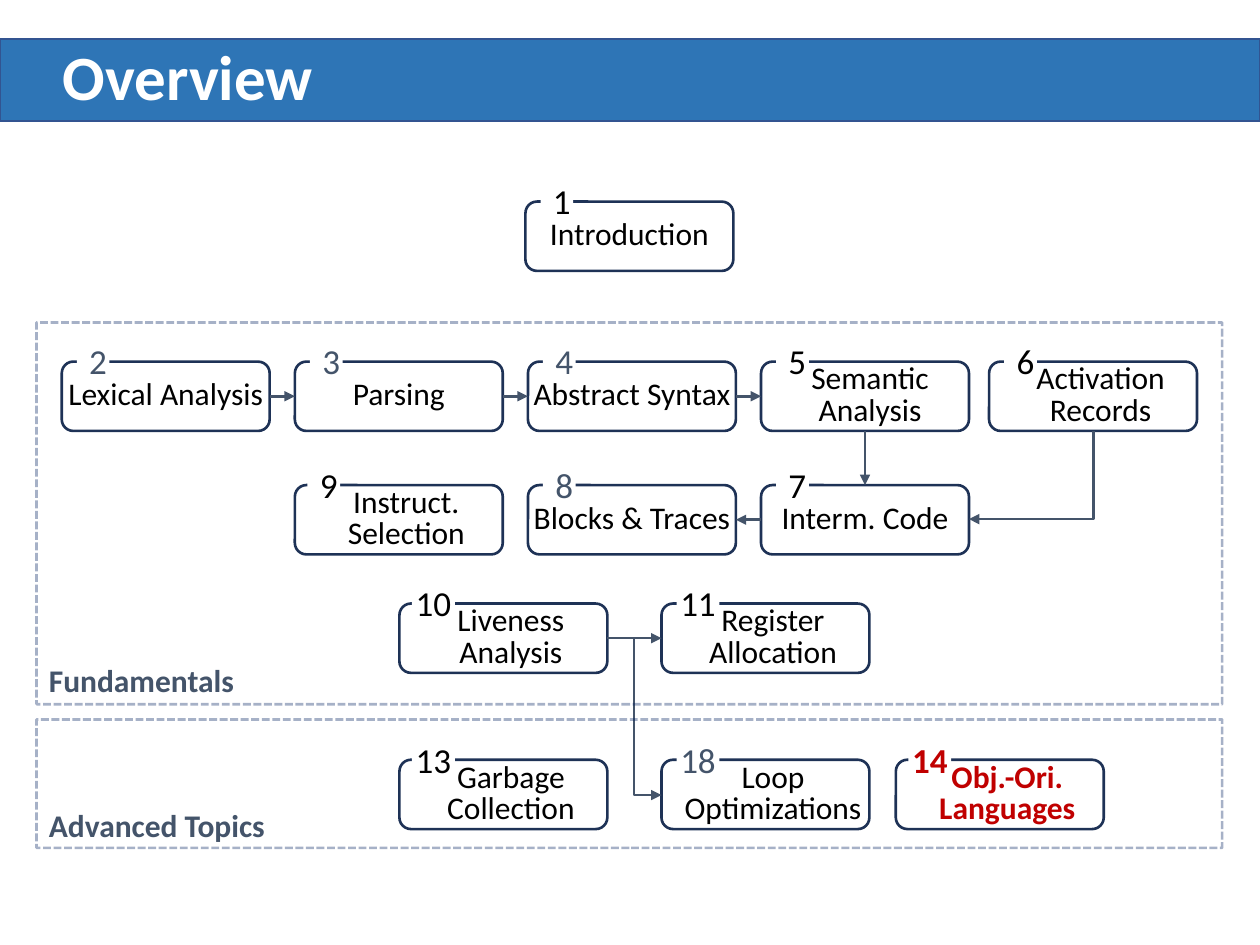
"""Build the course overview slide: chapter boxes, their dependencies and two sections."""
from dataclasses import dataclass

import pptx
import pptx.dml.color
import pptx.enum.dml
import pptx.enum.shapes
import pptx.enum.text
import pptx.oxml.ns
import pptx.util
from lxml import etree
from pptx.util import Inches

SHAPES = pptx.enum.shapes.MSO_SHAPE
CONNECTORS = pptx.enum.shapes.MSO_CONNECTOR
ALIGN = pptx.enum.text.PP_ALIGN
MIDDLE = pptx.enum.text.MSO_ANCHOR.MIDDLE

BLACK, WHITE, SLATE, RED = "000000", "FFFFFF", "44546A", "C00000"
BOX_WIDTH, BOX_HEIGHT = 1.65, 0.55
TOP, LEFT, BOTTOM, RIGHT = range(4)


@dataclass(frozen=True)
class Chapter:
    number: str
    title: str
    left: float
    top: float
    number_color: str = BLACK
    title_color: str = BLACK
    inset: float = 0
    number_offset: float = 0.12
    bold: bool = False


@dataclass(frozen=True)
class Section:
    title: str
    top: float
    height: float
    title_top: float


@dataclass(frozen=True)
class Arrow:
    source: str
    source_side: int
    target: str
    target_side: int


COLUMNS = [0.49, 2.34, 4.19, 6.04, 7.85]
LOWER_COLUMNS = [3.17, 5.25, 7.11]
ROWS = [2.87, 3.85, 4.79, 6.03]

CHAPTERS = [
    Chapter("1", "Introduction", 4.17, 1.6),
    Chapter("2", "Lexical Analysis", COLUMNS[0], ROWS[0], SLATE),
    Chapter("3", "Parsing", COLUMNS[1], ROWS[0], SLATE),
    Chapter("4", "Abstract Syntax", COLUMNS[2], ROWS[0], SLATE),
    Chapter("5", "Semantic Analysis", COLUMNS[3], ROWS[0], inset=0.08),
    Chapter("6", "Activation Records", COLUMNS[4], ROWS[0], inset=0.12),
    Chapter("7", "Interm. Code", COLUMNS[3], ROWS[1]),
    Chapter("8", "Blocks & Traces", COLUMNS[2], ROWS[1], SLATE),
    Chapter("9", "Instruct. Selection", COLUMNS[1], ROWS[1], inset=0.12, number_offset=0.1),
    Chapter("10", "Liveness Analysis", LOWER_COLUMNS[0], ROWS[2], inset=0.12, number_offset=0.1),
    Chapter("11", "Register Allocation", LOWER_COLUMNS[1], ROWS[2], inset=0.12),
    Chapter("13", "Garbage Collection", LOWER_COLUMNS[0], ROWS[3], inset=0.12, number_offset=0.1),
    Chapter("18", "Loop Optimizations", LOWER_COLUMNS[1], ROWS[3], SLATE, inset=0.12),
    Chapter("14", "Obj.-Ori. Languages", LOWER_COLUMNS[2], ROWS[3], RED, RED, 0.12, 0.1, True),
]

ARROWS = [
    Arrow("2", RIGHT, "3", LEFT),
    Arrow("3", RIGHT, "4", LEFT),
    Arrow("4", RIGHT, "5", LEFT),
    Arrow("5", BOTTOM, "7", TOP),
    Arrow("7", LEFT, "8", RIGHT),
    Arrow("10", RIGHT, "11", LEFT),
]

SECTIONS = [
    Section("Fundamentals", 2.56, 3.03, 5.2),
    Section("Advanced Topics", 5.71, 1.02, 6.35),
]


def rgb(color: str) -> pptx.dml.color.RGBColor:
    """Turn a hex string into a colour."""
    return pptx.dml.color.RGBColor.from_string(color)


def set_line(line, color: str, width: float) -> None:
    """Give a line its colour and width in points."""
    line.color.rgb = rgb(color)
    line.width = pptx.util.Pt(width)


def add_block(slide, kind, left: float, top: float, width: float, height: float, fill: str = ""):
    """Add a shape without shadow or outline, filled only if a colour is given."""
    shape = slide.shapes.add_shape(kind, Inches(left), Inches(top), Inches(width), Inches(height))
    shape.shadow.inherit = False
    shape.line.fill.background()
    if fill:
        shape.fill.solid()
        shape.fill.fore_color.rgb = rgb(fill)
    else:
        shape.fill.background()
    return shape


def write(shape, text: str, size: float, color: str, bold: bool = False, align=ALIGN.CENTER):
    """Write one wrapped paragraph into a shape and return it."""
    shape.text_frame.word_wrap = True
    paragraph = shape.text_frame.paragraphs[0]
    paragraph.text = text
    paragraph.alignment = align
    paragraph.font.name = "Calibri"
    paragraph.font.size = pptx.util.Pt(size)
    paragraph.font.bold = bold
    paragraph.font.color.rgb = rgb(color)
    return paragraph


def add_label(slide, text: str, left: float, top: float, width: float, height: float,
              size: float, color: str):
    """Add a bold left-aligned text box."""
    label = slide.shapes.add_textbox(Inches(left), Inches(top), Inches(width), Inches(height))
    write(label, text, size, color, True, ALIGN.LEFT)
    return label


def add_chapter(slide, chapter: Chapter):
    """Draw a chapter box with its number on the top edge and return the box."""
    box = add_block(slide, SHAPES.ROUNDED_RECTANGLE, chapter.left, chapter.top, BOX_WIDTH, BOX_HEIGHT)
    set_line(box.line, "1E3256", 1.5)
    frame = box.text_frame
    frame.vertical_anchor = MIDDLE
    frame.margin_left = Inches(chapter.inset)
    frame.margin_top = frame.margin_right = frame.margin_bottom = 0
    paragraph = write(box, chapter.title, 18, chapter.title_color, chapter.bold)
    paragraph.line_spacing = pptx.util.Pt(18)

    two_digits = len(chapter.number) > 1
    tag = add_block(slide, SHAPES.RECTANGLE, chapter.left + chapter.number_offset,
                    chapter.top - 0.16, 0.34 if two_digits else 0.26, 0.31, WHITE)
    tag.text_frame.vertical_anchor = MIDDLE
    if two_digits:
        tag.text_frame.margin_left = tag.text_frame.margin_right = 0
    write(tag, chapter.number, 20, chapter.number_color, chapter.bold)
    return box


def add_arrow(slide, kind, start: tuple[float, float], end: tuple[float, float]):
    """Add a connector with an arrowhead at its end."""
    connector = slide.shapes.add_connector(kind, *map(Inches, start + end))
    set_line(connector.line, SLATE, 1.5)
    head = etree.SubElement(connector.line._get_or_add_ln(), pptx.oxml.ns.qn("a:tailEnd"))
    head.set("type", "triangle")
    etree.SubElement(connector._element.spPr, pptx.oxml.ns.qn("a:effectLst"))
    return connector


def add_corner_arrow(slide, start: tuple[float, float], end: tuple[float, float]) -> None:
    """Add an arrow that runs down and then sideways, as a turned one-corner connector."""
    (x1, y1), (x2, y2) = start, end
    center_x, center_y = (x1 + x2) / 2, (y1 + y2) / 2
    half_width, half_height = (y2 - y1) / 2, abs(x2 - x1) / 2
    direction = 1 if x2 < x1 else -1
    connector = add_arrow(slide, CONNECTORS.ELBOW,
                          (center_x - direction * half_width, center_y - half_height),
                          (center_x + direction * half_width, center_y + half_height))
    properties = connector._element.spPr
    properties.find(pptx.oxml.ns.qn("a:prstGeom")).set("prst", "bentConnector2")
    turn = 90 if direction == 1 else 270
    properties.find(pptx.oxml.ns.qn("a:xfrm")).set("rot", str(turn * 60000))


def add_section(slide, section: Section) -> None:
    """Draw a dashed, translucent section frame and its title."""
    frame = add_block(slide, SHAPES.RECTANGLE, 0.29, section.top, 9.41, section.height)
    set_line(frame.line, "002060", 1.5)
    frame.line.dash_style = pptx.enum.dml.MSO_LINE.SQUARE_DOT
    color = frame.line._get_or_add_ln().find(".//" + pptx.oxml.ns.qn("a:srgbClr"))
    etree.SubElement(color, pptx.oxml.ns.qn("a:alpha")).set("val", "35000")
    add_label(slide, section.title, 0.29, section.title_top, 5, 0.4, 18, SLATE)


def main() -> None:
    """Build and save the slide."""
    presentation = pptx.Presentation()
    presentation.slide_width, presentation.slide_height = Inches(10), Inches(7.5)
    slide = presentation.slides.add_slide(presentation.slide_layouts[6])
    banner = add_block(slide, SHAPES.RECTANGLE, 0, 0.31, 10, 0.65, "2E75B6")
    set_line(banner.line, "325491", 1)
    heading = add_label(slide, "Overview", 0.4, 0.31, 9.24, 0.65, 36, WHITE)
    heading.text_frame.vertical_anchor = MIDDLE
    heading.text_frame.paragraphs[0].line_spacing = 0.9
    boxes = {chapter.number: add_chapter(slide, chapter) for chapter in CHAPTERS}
    for arrow in ARROWS:
        connector = add_arrow(slide, CONNECTORS.STRAIGHT, (0, 0), (0, 0))
        connector.begin_connect(boxes[arrow.source], arrow.source_side)
        connector.end_connect(boxes[arrow.target], arrow.target_side)
    add_corner_arrow(slide, (8.68, 3.42), (7.69, 4.12))
    add_corner_arrow(slide, (5.03, 5.07), (5.25, 6.31))
    for section in SECTIONS:
        add_section(slide, section)
    presentation.save("out.pptx")


if __name__ == "__main__":
    main()
